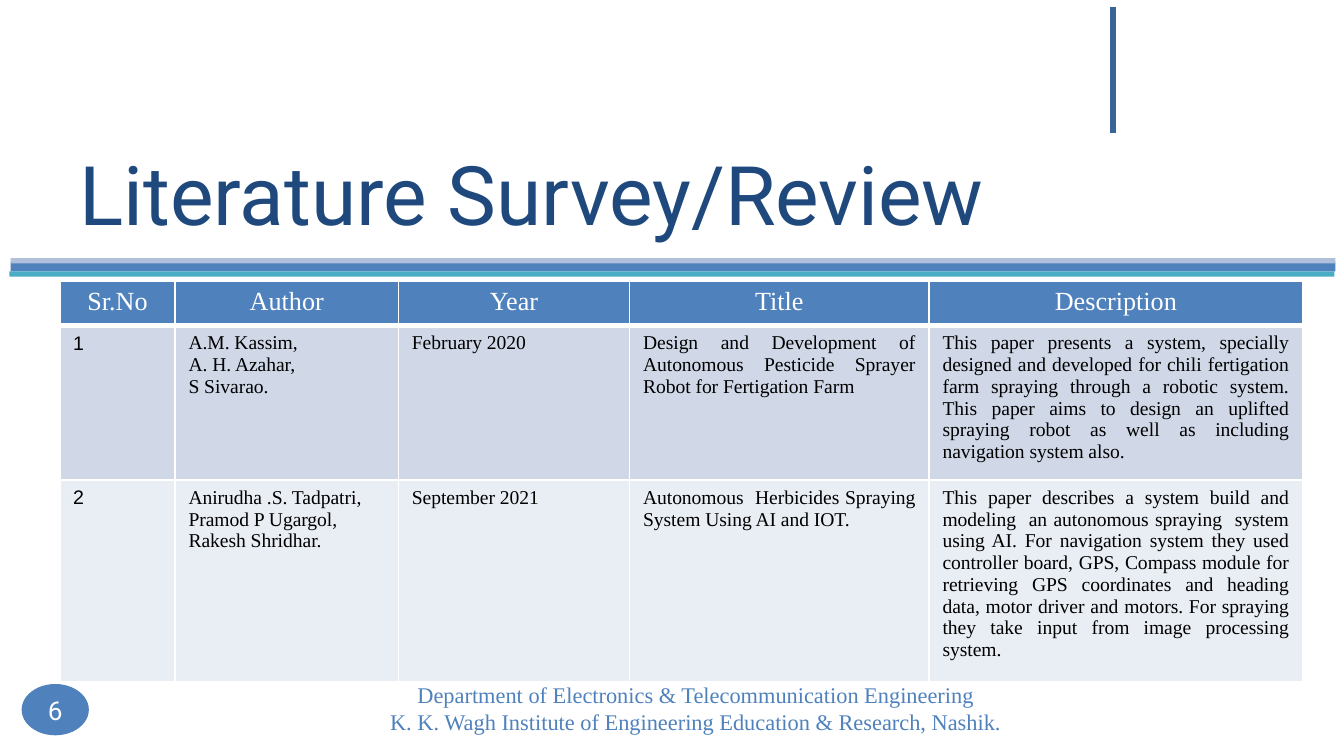
from dataclasses import dataclass

from pptx import Presentation
from pptx.dml.color import RGBColor
from pptx.enum.shapes import MSO_CONNECTOR, MSO_SHAPE
from pptx.enum.text import MSO_ANCHOR, MSO_AUTO_SIZE, PP_ALIGN
from pptx.oxml.ns import qn
from pptx.slide import Slide
from pptx.table import _Cell
from pptx.text.text import TextFrame
from pptx.util import Cm, Pt
from lxml.etree import SubElement


@dataclass(frozen=True)
class Theme:
    blue: str = "4F81BD"
    navy: str = "1F497D"
    pale_blue: str = "B1C0DA"
    teal: str = "4BACC6"
    steel: str = "396599"
    white: str = "FFFFFF"
    black: str = "000000"
    row_fills: tuple[str, str] = ("D0D8E8", "E9EDF4")
    sans: str = "Roboto"
    serif: str = "Times New Roman"
    plain: str = "Arial"
    title_size: float = 44
    heading_size: float = 14
    footer_size: float = 12
    body_size: float = 10.5


@dataclass(frozen=True)
class Area:
    left: float
    top: float
    width: float
    height: float

    def lengths(self) -> tuple[Cm, Cm, Cm, Cm]:
        return Cm(self.left), Cm(self.top), Cm(self.width), Cm(self.height)


@dataclass(frozen=True)
class Style:
    font: str
    size: float
    color: str
    align: PP_ALIGN = PP_ALIGN.LEFT


@dataclass(frozen=True)
class Paper:
    number: str
    authors: str
    year: str
    title: str
    description: str


THEME = Theme()
HEADINGS = ("Sr.No", "Author", "Year", "Title", "Description")
COLUMN_WIDTHS = (2.18, 4.22, 4.37, 5.66, 7.06)
ROW_HEIGHTS = (0.84, 2.92, 3.73)
PAPERS = (
    Paper(
        "1",
        "A.M. Kassim,\nA. H. Azahar,\nS Sivarao.",
        "February 2020",
        "Design and Development of Autonomous Pesticide Sprayer Robot for Fertigation Farm",
        "This paper presents a system, specially designed and developed for chili fertigation "
        "farm spraying through a robotic system. This paper aims to design an uplifted spraying "
        "robot as well as including navigation system also.",
    ),
    Paper(
        "2",
        "Anirudha .S. Tadpatri,\nPramod P Ugargol,\nRakesh Shridhar.",
        "September 2021",
        "Autonomous  Herbicides Spraying System Using AI and IOT.",
        "This paper describes a system build and modeling  an autonomous spraying  system using "
        "AI. For navigation system they used controller board, GPS, Compass module for retrieving "
        "GPS coordinates and heading data, motor driver and motors. For spraying they take input "
        "from image processing system.",
    ),
)
FOOTER = (
    "Department of Electronics & Telecommunication Engineering\n"
    "K. K. Wagh Institute of Engineering Education & Research, Nashik."
)


def write(frame: TextFrame, text: str, style: Style) -> None:
    """Fill the frame with one paragraph per line of text."""
    frame.text = text
    frame.word_wrap = True
    for paragraph in frame.paragraphs:
        paragraph.alignment = style.align
        paragraph.font.name = style.font
        paragraph.font.size = Pt(style.size)
        paragraph.font.color.rgb = RGBColor.from_string(style.color)


def add_filled(page: Slide, kind: MSO_SHAPE, area: Area, color: str):
    shape = page.shapes.add_shape(kind, *area.lengths())
    shape.shadow.inherit = False
    shape.fill.solid()
    shape.fill.fore_color.rgb = RGBColor.from_string(color)
    shape.line.fill.background()
    return shape


def add_title(page: Slide) -> None:
    title = page.shapes.title
    title.left, title.top, title.width, title.height = Area(1.24, 1.3, 18.14, 3.53).lengths()
    frame = title.text_frame
    write(frame, "Literature Survey/Review", Style(THEME.sans, THEME.title_size, THEME.navy))
    frame.auto_size = MSO_AUTO_SIZE.NONE
    frame.vertical_anchor = MSO_ANCHOR.BOTTOM
    frame.margin_bottom = Cm(0.25)


def add_footer(page: Slide) -> None:
    box = page.shapes.add_textbox(*Area(1.7, 13, 22.91, 0.76).lengths())
    write(box.text_frame, FOOTER,
          Style(THEME.serif, THEME.footer_size, THEME.blue, PP_ALIGN.CENTER))
    box.text_frame.vertical_anchor = MSO_ANCHOR.MIDDLE


def add_page_number(page: Slide) -> None:
    badge = add_filled(page, MSO_SHAPE.OVAL, Area(0.41, 12.93, 1.27, 0.97), THEME.blue)
    frame = badge.text_frame
    write(frame, "6", Style(THEME.sans, THEME.heading_size, THEME.white, PP_ALIGN.CENTER))
    frame.vertical_anchor = MSO_ANCHOR.MIDDLE
    frame.margin_left = frame.margin_right = frame.margin_top = frame.margin_bottom = 0


def add_upright_line(page: Slide) -> None:
    line = page.shapes.add_connector(
        MSO_CONNECTOR.STRAIGHT, Cm(21.03), Cm(0.13), Cm(21.03), Cm(2.51))
    line.line.color.rgb = RGBColor.from_string(THEME.steel)
    line.line.width = Pt(3)
    SubElement(line._element.spPr, qn("a:effectLst"))


def format_cell(cell: _Cell, text: str, style: Style, fill: str, bottom: float = 1) -> None:
    """Write a cell with white borders; bottom is the lower border in points."""
    write(cell.text_frame, text, style)
    properties = cell._tc.get_or_add_tcPr()
    for side, width in (("lnL", 1), ("lnR", 1), ("lnT", 1), ("lnB", bottom)):
        border = SubElement(properties, qn(f"a:{side}"), w=str(Pt(width)))
        color = SubElement(border, qn("a:solidFill"))
        SubElement(color, qn("a:srgbClr"), val=THEME.white)
    cell.fill.solid()
    cell.fill.fore_color.rgb = RGBColor.from_string(fill)


def add_papers_table(page: Slide) -> None:
    area = Area(1.13, 5.31, sum(COLUMN_WIDTHS), sum(ROW_HEIGHTS))
    table = page.shapes.add_table(len(ROW_HEIGHTS), len(HEADINGS), *area.lengths()).table
    for column, width in zip(table.columns, COLUMN_WIDTHS):
        column.width = Cm(width)
    for row, height in zip(table.rows, ROW_HEIGHTS):
        row.height = Cm(height)

    heading = Style(THEME.serif, THEME.heading_size, THEME.white, PP_ALIGN.CENTER)
    for column, text in enumerate(HEADINGS):
        format_cell(table.cell(0, column), text, heading, THEME.blue, bottom=3)

    number = Style(THEME.plain, THEME.body_size, THEME.black)
    body = Style(THEME.serif, THEME.body_size, THEME.black)
    justified = Style(THEME.serif, THEME.body_size, THEME.black, PP_ALIGN.JUSTIFY)
    for row, (paper, fill) in enumerate(zip(PAPERS, THEME.row_fills), start=1):
        entries = (
            (paper.number, number),
            (paper.authors, body),
            (paper.year, body),
            (paper.title, justified),
            (paper.description, justified),
        )
        for column, (text, style) in enumerate(entries):
            format_cell(table.cell(row, column), text, style, fill)


def main() -> None:
    deck = Presentation()
    deck.slide_width, deck.slide_height = Cm(25.4), Cm(14.29)
    page = deck.slides.add_slide(deck.slide_layouts.get_by_name("Title Only"))
    for area, color in (
        (Area(0.2, 4.95, 25.04, 0.18), THEME.blue),
        (Area(0.2, 4.88, 25.04, 0.1), THEME.pale_blue),
        (Area(0.18, 5.13, 25.04, 0.1), THEME.teal),
    ):
        add_filled(page, MSO_SHAPE.RECTANGLE, area, color)
    add_title(page)
    add_footer(page)
    add_page_number(page)
    add_upright_line(page)
    add_papers_table(page)
    deck.save("out.pptx")


if __name__ == "__main__":
    main()
